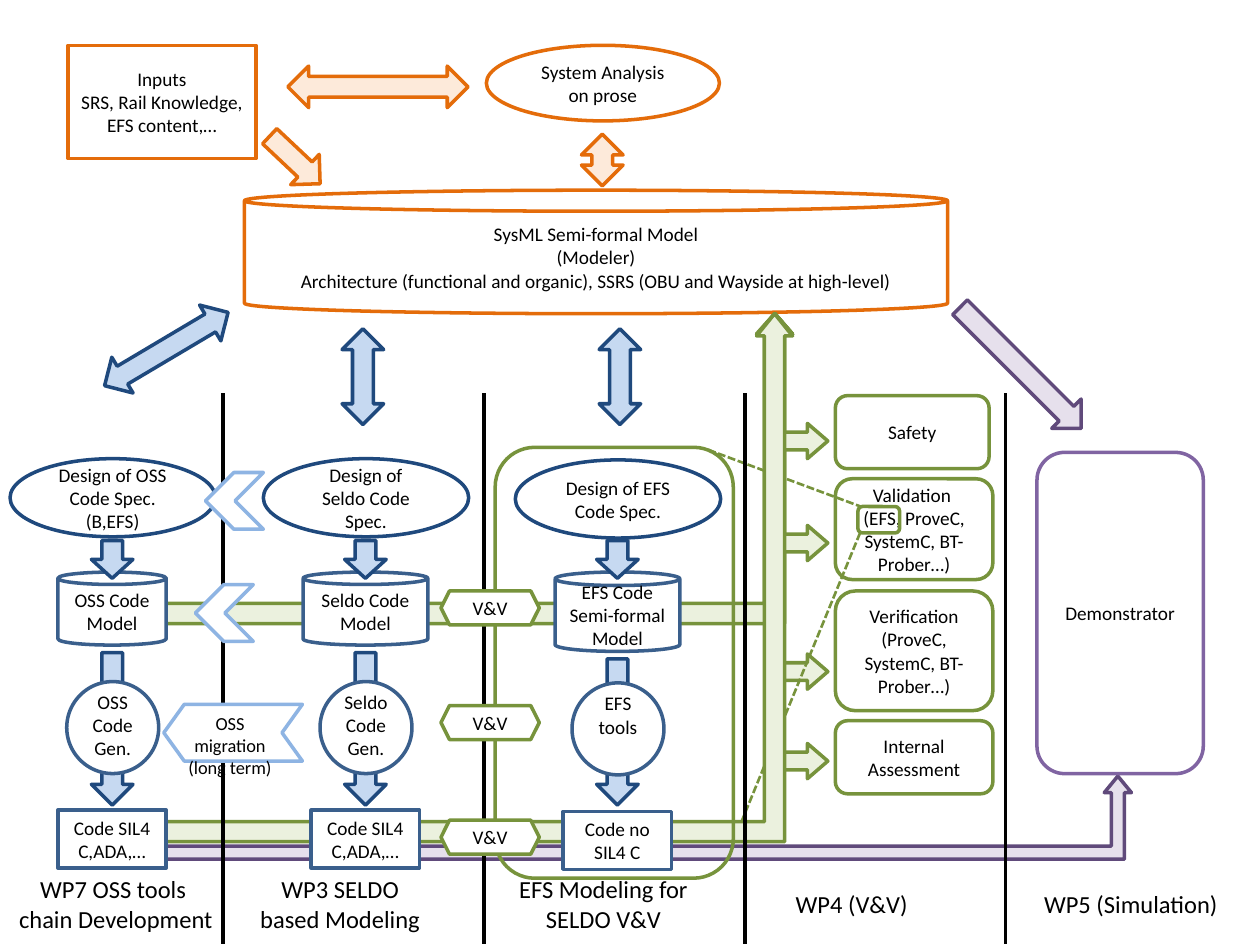
from pptx import Presentation
from pptx.dml.color import RGBColor
from pptx.enum.dml import MSO_LINE
from pptx.enum.shapes import MSO_CONNECTOR, MSO_SHAPE as S
from pptx.enum.text import MSO_ANCHOR, PP_ALIGN
from pptx.oxml.ns import qn
from pptx.util import Inches, Pt
from lxml.etree import SubElement

BLACK, WHITE = "000000", "FFFFFF"
ORANGE, PEACH = "E46C0A", "FDEADA"
NAVY, STEEL, SKY, PALE = "1F497D", "3A5F8C", "8EB4E3", "C6D9F1"
GREEN, MINT = "77933C", "EBF1DE"
PURPLE, PLUM, LILAC = "8064A2", "604A7B", "E6E0EC"
THICK = 0.33   # width of the block arrows
TRUNK = 2.49   # top of the green trunk arrow


def color(code):
    return RGBColor.from_string(code)


def write(frame, text, size=11):
    frame.word_wrap = True
    frame.text = text
    for para in frame.paragraphs:
        para.alignment = PP_ALIGN.CENTER
        for run in para.runs:
            run.font.name = "Calibri"
            run.font.size = Pt(size)
            run.font.color.rgb = color(BLACK)


def shape(slide, kind, box, line, fill=WHITE, text="", rot=0, adj=()):
    item = slide.shapes.add_shape(kind, *map(Inches, box))
    item.shadow.inherit = False
    item.rotation = rot
    for i, value in enumerate(adj):
        item.adjustments[i] = value
    if fill:
        item.fill.solid()
        item.fill.fore_color.rgb = color(fill)
    else:
        item.fill.background()
    item.line.color.rgb = color(line)
    item.line.width = Pt(2)
    if text:
        item.text_frame.vertical_anchor = MSO_ANCHOR.MIDDLE
        write(item.text_frame, text)
    return item


def label(slide, box, text, size=14):
    item = slide.shapes.add_textbox(*map(Inches, box))
    write(item.text_frame, text, size)


def arrow(slide, kind, mid, size, line, fill, rot=0, wide=THICK, adj=()):
    """Block arrow placed by its centre and length."""
    x, y = mid
    box = (x - size / 2, y - wide / 2, size, wide)
    shape(slide, kind, box, line, fill, rot=rot, adj=adj)


def rule(slide, start, end, tone, width, dash=None):
    item = slide.shapes.add_connector(
        MSO_CONNECTOR.STRAIGHT, *map(Inches, start + end))
    item.line.color.rgb = color(tone)
    item.line.width = Pt(width)
    if dash:
        item.line.dash_style = dash
    SubElement(item._element.spPr, qn("a:effectLst"))


def branch(slide, foot):
    """Green side arrow that leaves the trunk near foot."""
    size = foot - TRUNK
    arrow(slide, S.LEFT_UP_ARROW, (6.29, TRUNK + size / 2), size, GREEN, MINT,
          90, 0.56, (0.25, 0.25, 0.29))


def chain(slide, x, spec, model, tool, code, wide=0.99, tall=0.58, drop=0.0):
    """Design, model, generator and code, centred on x."""
    shape(slide, S.CAN, (x - wide / 2, 4.54, wide, tall), STEEL,
          text=model, adj=[0.17])
    shape(slide, S.OVAL, (x - 0.81, 3.64 + drop, 1.63, 0.62), NAVY, text=spec)
    top = 4.6 + tall
    arrow(slide, S.RIGHT_ARROW, (x, (top + 6.39) / 2), 6.39 - top,
          NAVY, PALE, 90)
    shape(slide, S.OVAL, (x - 0.36, 5.41 + drop, 0.73, 0.73), STEEL)
    label(slide, (x - 0.36, 5.43 + drop, 0.73, 0.55), tool, 11)
    shape(slide, S.RECTANGLE, (x - 0.43, 6.43 + drop, 0.86, 0.46), STEEL,
          text=code)
    arrow(slide, S.RIGHT_ARROW, (x, 4.44), 0.3, NAVY, PALE, 90)


def system(slide):
    # Links behind the work packages
    shape(slide, S.BENT_UP_ARROW, (1.22, TRUNK, 5.07, 2.46), GREEN, MINT,
          adj=(0.065, 0.058, 0.065))
    shape(slide, S.BENT_UP_ARROW, (1.22, 6.16, 7.76, 0.66), PLUM, LILAC,
          adj=(0.158, 0.163, 0.199))
    # Inputs, analysis and model
    shape(slide, S.CAN, (1.94, 1.51, 5.58, 0.98), ORANGE, adj=[0.17],
          text="SysML Semi-formal Model\n(Modeler)\nArchitecture (functional "
               "and organic), SSRS (OBU and Wayside at high-level)")
    shape(slide, S.OVAL, (3.86, 0.36, 1.85, 0.6), ORANGE,
          text="System Analysis on prose")
    shape(slide, S.RECTANGLE, (0.54, 0.36, 1.49, 0.9), ORANGE, None,
          "Inputs\nSRS, Rail Knowledge,\nEFS content,…")
    both, right = S.LEFT_RIGHT_ARROW, S.RIGHT_ARROW
    for kind, mid, size, line, fill, rot in (
            (both, (3.0, 0.69), 1.43, ORANGE, PEACH, 0),
            (both, (4.78, 1.27), 0.41, ORANGE, PEACH, 90),
            (right, (2.34, 1.27), 0.55, ORANGE, PEACH, 43.3),
            (both, (1.32, 2.77), 1.14, NAVY, PALE, 149.3),
            (both, (2.88, 2.99), 0.76, NAVY, PALE, 90),
            (both, (4.92, 2.99), 0.76, NAVY, PALE, 90),
            (right, (8.1, 2.92), 1.36, PLUM, LILAC, 45)):
        arrow(slide, kind, mid, size, line, fill, rot)


def checks(slide):
    # Verification tasks and demonstrator
    for top, wide, tall, text in (
            (3.14, 1.22, 0.58, "Safety"),
            (3.8, 1.25, 0.8,
             "Validation \n(EFS, ProveC, SystemC, BT-Prober…)"),
            (4.69, 1.25, 0.95, "Verification\n(ProveC, SystemC, BT-Prober…)"),
            (5.72, 1.25, 0.58, "Internal\vAssessment")):
        shape(slide, S.ROUNDED_RECTANGLE, (6.63, top, wide, tall), GREEN,
              text=text)
    shape(slide, S.ROUNDED_RECTANGLE, (8.23, 3.59, 1.32, 2.55), PURPLE,
          text="Demonstrator")
    for foot in (3.64, 4.45, 5.47, 6.18):
        branch(slide, foot)
    # Zoom from the EFS mark to its frame
    shape(slide, S.ROUNDED_RECTANGLE, (6.81, 4.02, 0.33, 0.21), GREEN, None)
    for start, end in (((5.62, 3.57), (6.83, 4.02)),
                       ((5.82, 6.68), (6.83, 4.22))):
        rule(slide, start, end, GREEN, 1.5, MSO_LINE.SQUARE_DOT)
    shape(slide, S.BENT_UP_ARROW, (1.22, TRUNK, 5.07, 4.19), GREEN, MINT,
          adj=(0.038, 0.034, 0.042))
    shape(slide, S.ROUNDED_RECTANGLE, (3.93, 3.55, 1.89, 3.42), GREEN, None)


def links(slide):
    # Column dividers
    for i in range(4):
        x = 1.77 + i * 2.07
        rule(slide, (x, 3.12), (x, 7.49), BLACK, 2.25)
    # Migration chevrons
    for box, adj in (((1.63, 3.75, 0.46, 0.45), ()),
                     ((1.55, 4.64, 0.46, 0.45), ()),
                     ((1.3, 5.59, 1.1, 0.45), [0.36])):
        shape(slide, S.CHEVRON, box, SKY, rot=180, adj=adj)
    label(slide, (1.37, 5.6, 0.91, 0.4), "OSS migration\n(long term)", 10.5)
    # V&V marks
    for i in range(3):
        shape(slide, S.HEXAGON, (3.5, 4.69 + i * 0.91, 0.78, 0.27), GREEN,
              text="V&V")


def main():
    deck = Presentation()
    deck.slide_width, deck.slide_height = Inches(10), Inches(7.5)
    slide = deck.slides.add_slide(deck.slide_layouts[6])
    system(slide)
    # Work package names
    for box, text in (
            ((-0.04, 6.89, 1.92, 0.57), "WP7 OSS tools \nchain Development"),
            ((1.92, 6.89, 1.56, 0.57), "WP3 SELDO based Modeling"),
            ((4.01, 6.89, 1.56, 0.57), "EFS Modeling for\nSELDO V&V"),
            ((6.19, 7.01, 1.14, 0.34), "WP4 (V&V)"),
            ((8.15, 7.01, 1.65, 0.34), "WP5 (Simulation)")):
        label(slide, box, text)
    checks(slide)
    # Tool chains
    chain(slide, 0.89, "Design of OSS Code Spec. (B,EFS)", "OSS Code\nModel",
          "OSS\nCode\nGen.", "Code SIL4\nC,ADA,…", wide=0.86)
    chain(slide, 2.9, "Design of Seldo Code Spec.", "Seldo Code\nModel",
          "Seldo\nCode\nGen.", "Code SIL4\nC,ADA,…")
    chain(slide, 4.9, "Design of EFS Code Spec.",
          "EFS Code\nSemi-formal Model", "EFS\ntools", "Code no SIL4 C",
          tall=0.63, drop=0.01)
    links(slide)
    deck.save("out.pptx")


if __name__ == "__main__":
    main()
